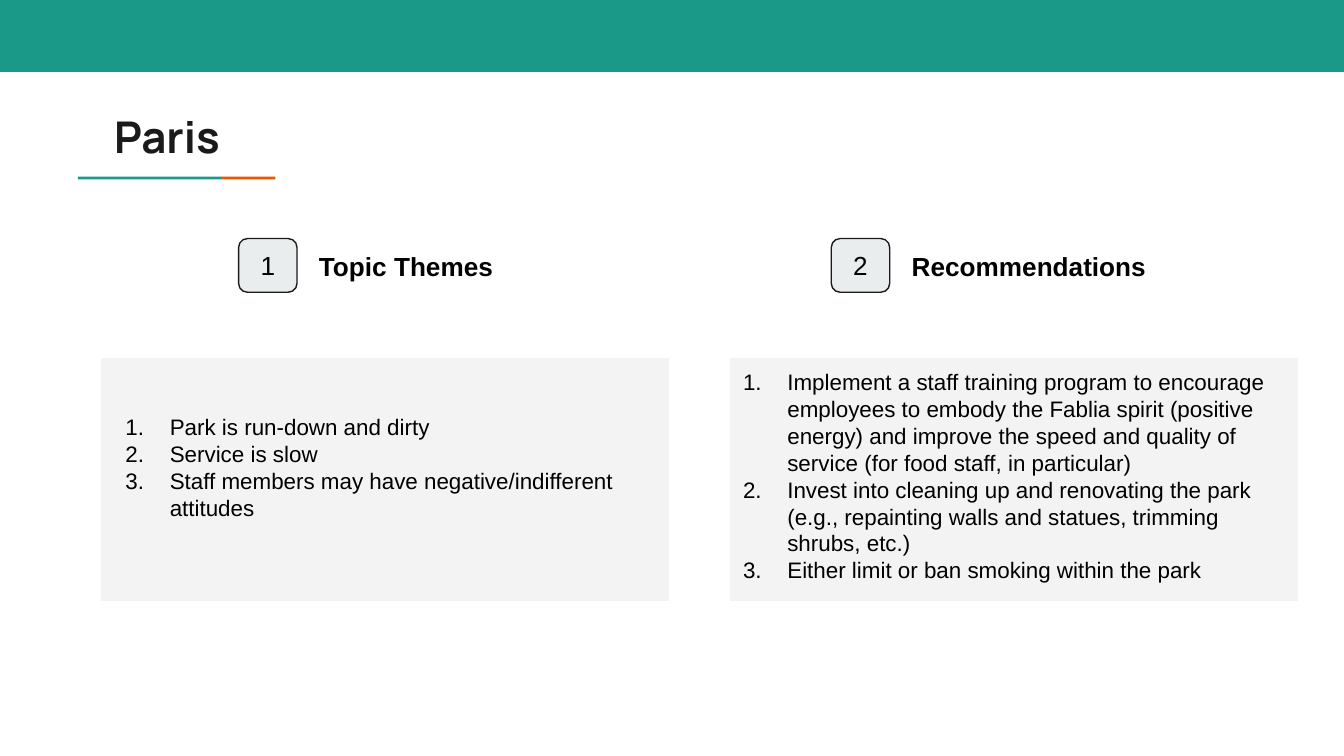
from dataclasses import dataclass

from lxml.etree import SubElement
from pptx import Presentation
from pptx.dml.color import RGBColor as Rgb
from pptx.enum.shapes import MSO_SHAPE as Kind
from pptx.enum.text import MSO_ANCHOR as Anchor, PP_ALIGN as Align
from pptx.oxml.ns import qn
from pptx.util import Pt

SCALE = 4572


@dataclass(frozen=True)
class Theme:
    """Hold the colours, fonts and type sizes."""
    teal: str = "1A9988"
    orange: str = "EB5600"
    ink: str = "1A1A1A"
    black: str = "000000"
    white: str = "FFFFFF"
    badge: str = "E9EDEE"
    panel: str = "F3F3F3"
    head: str = "Manrope"
    body: str = "Arial"
    title: float = 23.4
    label: int = 14
    item: int = 12


LOOK = Theme()

COLUMNS = [
    dict(badge=355, panel=150, wide=326, frame=(133, 595, 916, 202),
         name="Topic Themes", items=[
             "Park is run-down and dirty",
             "Service is slow",
             "Staff members may have negative/indifferent attitudes",
         ]),
    dict(badge=1237, panel=1086, wide=416, frame=(1052, 528, 882, 364),
         name="Recommendations", items=[
             "Implement a staff training program to encourage employees to "
             "embody the Fablia spirit (positive energy) and improve the speed "
             "and quality of service (for food staff, in particular)",
             "Invest into cleaning up and renovating the park (e.g., repainting "
             "walls and statues, trimming shrubs, etc.)",
             "Either limit or ban smoking within the park",
         ]),
]


def px(*vals):
    """Turn px lengths into EMU."""
    return [val * SCALE for val in vals]


def number(para):
    """Give a paragraph an automatic number and a hanging indent."""
    props = para._p.get_or_add_pPr()
    left, hang = px(100, -66)
    props.set("marL", str(left))
    props.set("indent", str(hang))
    tint = SubElement(props, qn("a:buClr"))
    SubElement(tint, qn("a:srgbClr"), val=LOOK.black)
    SubElement(props, qn("a:buFont"), typeface=LOOK.body)
    SubElement(props, qn("a:buAutoNum"), type="arabicPeriod")


def write(shape, *lines, size=LOOK.label, font=LOOK.body, color=LOOK.black,
          bold=False, align=Align.LEFT, anchor=Anchor.TOP, listed=False):
    """Fill a shape with formatted paragraphs."""
    frame = shape.text_frame
    frame.word_wrap = True
    frame.vertical_anchor = anchor
    (frame.margin_left, frame.margin_top,
     frame.margin_right, frame.margin_bottom) = px(20, 20, 20, 20)
    for pos, line in enumerate(lines):
        para = frame.add_paragraph() if pos else frame.paragraphs[0]
        para.alignment = align
        if listed:
            number(para)
        run = para.add_run()
        run.text = line
        run.font.size = Pt(size)
        run.font.name = font
        run.font.bold = bold
        run.font.color.rgb = Rgb.from_string(color)


def block(slide, box, fill, line=None, kind=Kind.RECTANGLE):
    """Draw a filled shape, outlined if a line colour is given."""
    shape = slide.shapes.add_shape(kind, *px(*box))
    shape.shadow.inherit = False
    shape.fill.solid()
    shape.fill.fore_color.rgb = Rgb.from_string(fill)
    if line:
        shape.line.color.rgb = Rgb.from_string(line)
        shape.line.width = Pt(0.75)
    else:
        shape.line.fill.background()
    return shape


def label(slide, box, *lines, **form):
    """Add a text box."""
    write(slide.shapes.add_textbox(*px(*box)), *lines, **form)


def column(slide, rank, badge, panel, wide, frame, name, items):
    """Draw a numbered heading above a panel with its list."""
    tile = block(slide, (badge, 355, 87, 80), LOOK.badge, LOOK.ink, Kind.ROUNDED_RECTANGLE)
    write(tile, str(rank), align=Align.CENTER, anchor=Anchor.MIDDLE)
    label(slide, (badge + 100, 352, wide, 88), name, bold=True)
    block(slide, (panel, 531, 847, 364), LOOK.panel, LOOK.white)
    label(slide, frame, *items, size=LOOK.item, listed=True)


def main():
    """Build and save the slide."""
    deck = Presentation()
    deck.slide_width, deck.slide_height = px(2000, 1125)
    slide = deck.slides.add_slide(deck.slide_layouts[6])
    block(slide, (0, 0, 2000, 107), LOOK.teal)
    block(slide, (116, 263, 213, 4), LOOK.teal)
    block(slide, (329, 263, 81, 4), LOOK.orange)
    label(slide, (150, 144, 1682, 118), "Paris", size=LOOK.title,
          font=LOOK.head, color=LOOK.ink, bold=True)
    for rank, part in enumerate(COLUMNS, 1):
        column(slide, rank, **part)
    deck.save("out.pptx")


if __name__ == "__main__":
    main()
